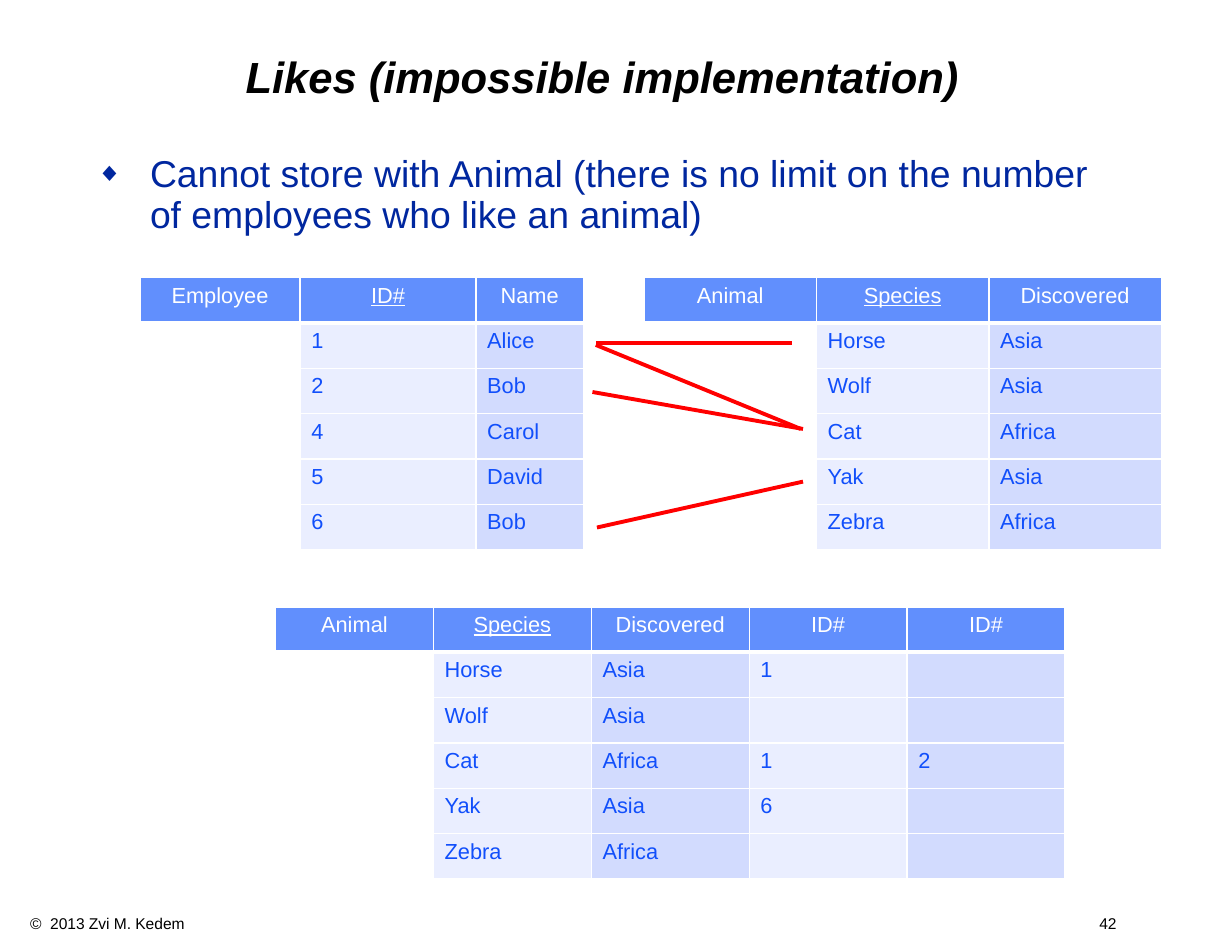
from dataclasses import dataclass

from lxml import etree
from pptx import Presentation
from pptx.dml.color import RGBColor
from pptx.enum.shapes import MSO_CONNECTOR
from pptx.enum.text import MSO_ANCHOR, PP_ALIGN
from pptx.oxml.ns import qn
from pptx.util import Inches, Pt

STRAIGHT = MSO_CONNECTOR.STRAIGHT
MIDDLE = MSO_ANCHOR.MIDDLE
TOP = MSO_ANCHOR.TOP
CENTER = PP_ALIGN.CENTER
LEFT = PP_ALIGN.LEFT


@dataclass(frozen=True)
class Theme:
    font: str = "Arial"
    title_size: int = 28
    body_size: int = 24
    table_size: int = 14
    footer_size: int = 10
    black: str = "000000"
    white: str = "FFFFFF"
    navy: str = "00279F"
    header_fill: str = "618FFD"
    cell_text: str = "114FFB"
    cell_fills: tuple = ("D2DBFE", "EAEEFF")
    link: str = "FF0000"
    link_width: float = 2.5
    border_width: int = 1
    header_rule_width: int = 3


THEME = Theme()
TITLE = "Likes (impossible implementation)"
STATEMENT = "Cannot store with Animal (there is no limit on the number of employees who like an animal)"
FOOTER = "©  2013 Zvi M. Kedem\t42"
ROW_HEIGHT = 0.405

EMPLOYEES = [("1", "Alice"), ("2", "Bob"), ("4", "Carol"), ("5", "David"), ("6", "Bob")]
ANIMALS = [
    ("Horse", "Asia"),
    ("Wolf", "Asia"),
    ("Cat", "Africa"),
    ("Yak", "Asia"),
    ("Zebra", "Africa"),
]
LIKED_BY = [("1", ""), ("", ""), ("1", "2"), ("6", ""), ("", "")]

TABLES = [
    {
        "at": (5.75, 2.48),
        "columns": [1.54] * 3,
        "header": ["Animal", "Species", "Discovered"],
        "rows": ANIMALS,
    },
    {
        "at": (1.25, 2.48),
        "columns": [1.43, 1.57, 0.96],
        "header": ["Employee", "ID#", "Name"],
        "rows": EMPLOYEES,
    },
    {
        "at": (2.46, 5.42),
        "columns": [1.41] * 5,
        "header": ["Animal", "Species", "Discovered", "ID#", "ID#"],
        "rows": [animal + likers for animal, likers in zip(ANIMALS, LIKED_BY)],
    },
]
KEY_COLUMN = 1

LINKS = [
    ((5.32, 3.08), (7.15, 3.83)),
    ((5.29, 3.5), (7.17, 3.83)),
    ((5.33, 4.71), (7.17, 4.3)),
    ((5.32, 3.06), (7.07, 3.06)),
]


def add_element(parent, tag, **attributes):
    element = etree.SubElement(parent, qn(tag))
    for name, value in attributes.items():
        element.set(name, str(value))
    return element


def format_runs(paragraph, size, color, **emphasis):
    for run in paragraph.runs:
        run.font.name = THEME.font
        run.font.size = Pt(size)
        run.font.color.rgb = RGBColor.from_string(color)
        for name, value in emphasis.items():
            setattr(run.font, name, value)


def add_text(slide, box, text, size, color, anchor=TOP, **emphasis):
    shape = slide.shapes.add_textbox(*map(Inches, box))
    frame = shape.text_frame
    frame.word_wrap = True
    frame.vertical_anchor = anchor
    frame.margin_left = frame.margin_right = Inches(0.11)
    frame.margin_top = frame.margin_bottom = Inches(0.06)
    frame.text = text
    paragraph = frame.paragraphs[0]
    format_runs(paragraph, size, color, **emphasis)
    return paragraph


def add_bullet(paragraph):
    properties = paragraph._p.get_or_add_pPr()
    properties.set("marL", str(Inches(0.48)))
    properties.set("indent", str(-Inches(0.48)))
    spacing = add_element(properties, "a:spcBef")
    add_element(spacing, "a:spcPct", val=30000)
    color = add_element(properties, "a:buClr")
    add_element(color, "a:srgbClr", val=THEME.navy)
    add_element(properties, "a:buSzPct", val=70000)
    add_element(properties, "a:buFont", typeface=THEME.font)
    add_element(properties, "a:buChar", char="◆")


def add_right_tab(paragraph, position):
    tabs = add_element(paragraph._p.get_or_add_pPr(), "a:tabLst")
    add_element(tabs, "a:tab", pos=Inches(position), algn="r")


def style_cell(cell, text, row, column):
    is_header = row == 0
    properties = cell._tc.get_or_add_tcPr()
    for side in ("L", "R", "T", "B"):
        heavy = is_header and side == "B"
        width = THEME.header_rule_width if heavy else THEME.border_width
        border = add_element(properties, f"a:ln{side}", w=Pt(width))
        fill = add_element(border, "a:solidFill")
        add_element(fill, "a:srgbClr", val=THEME.white)

    if is_header:
        fill_color = THEME.header_fill
    elif column == 0:
        fill_color = THEME.white
    else:
        fill_color = THEME.cell_fills[column % 2]
    cell.fill.solid()
    cell.fill.fore_color.rgb = RGBColor.from_string(fill_color)

    cell.text = text
    paragraph = cell.text_frame.paragraphs[0]
    paragraph.alignment = CENTER if is_header else LEFT
    text_color = THEME.white if is_header else THEME.cell_text
    underlined = is_header and column == KEY_COLUMN
    format_runs(paragraph, THEME.table_size, text_color, bold=False, underline=underlined)


def add_relation(slide, at, columns, header, rows):
    grid = [header] + [("", *row) for row in rows]
    size = (sum(columns), ROW_HEIGHT * len(grid))
    frame = slide.shapes.add_table(len(grid), len(columns), *map(Inches, at + size))
    for column, width in zip(frame.table.columns, columns):
        column.width = Inches(width)
    for row, values in enumerate(grid):
        frame.table.rows[row].height = Inches(ROW_HEIGHT)
        for column, text in enumerate(values):
            style_cell(frame.table.cell(row, column), text, row, column)


def add_link(slide, start, end):
    connector = slide.shapes.add_connector(STRAIGHT, *map(Inches, start + end))
    connector.line.color.rgb = RGBColor.from_string(THEME.link)
    connector.line.width = Pt(THEME.link_width)
    add_element(connector._element.spPr, "a:effectLst")


def main():
    """Build the slide on why Likes cannot be stored with Animal."""
    presentation = Presentation()
    presentation.slide_width, presentation.slide_height = Inches(11), Inches(8.5)
    slide = presentation.slides.add_slide(presentation.slide_layouts[6])

    footer = add_text(slide, (0.16, 8.1, 10.34, 0.27), FOOTER, THEME.footer_size, THEME.black)
    add_right_tab(footer, 9.7)

    title = add_text(slide, (0.75, 0.25, 9.25, 0.92), TITLE, THEME.title_size,
                     THEME.black, MIDDLE, bold=True, italic=True)
    title.alignment = CENTER
    title.line_spacing = 0.9

    statement = add_text(slide, (0.75, 1.33, 9.33, 6.67), STATEMENT, THEME.body_size, THEME.navy)
    statement.line_spacing = 0.9
    add_bullet(statement)

    for relation in TABLES:
        add_relation(slide, **relation)
    for start, end in LINKS:
        add_link(slide, start, end)
    presentation.save("out.pptx")


if __name__ == "__main__":
    main()
